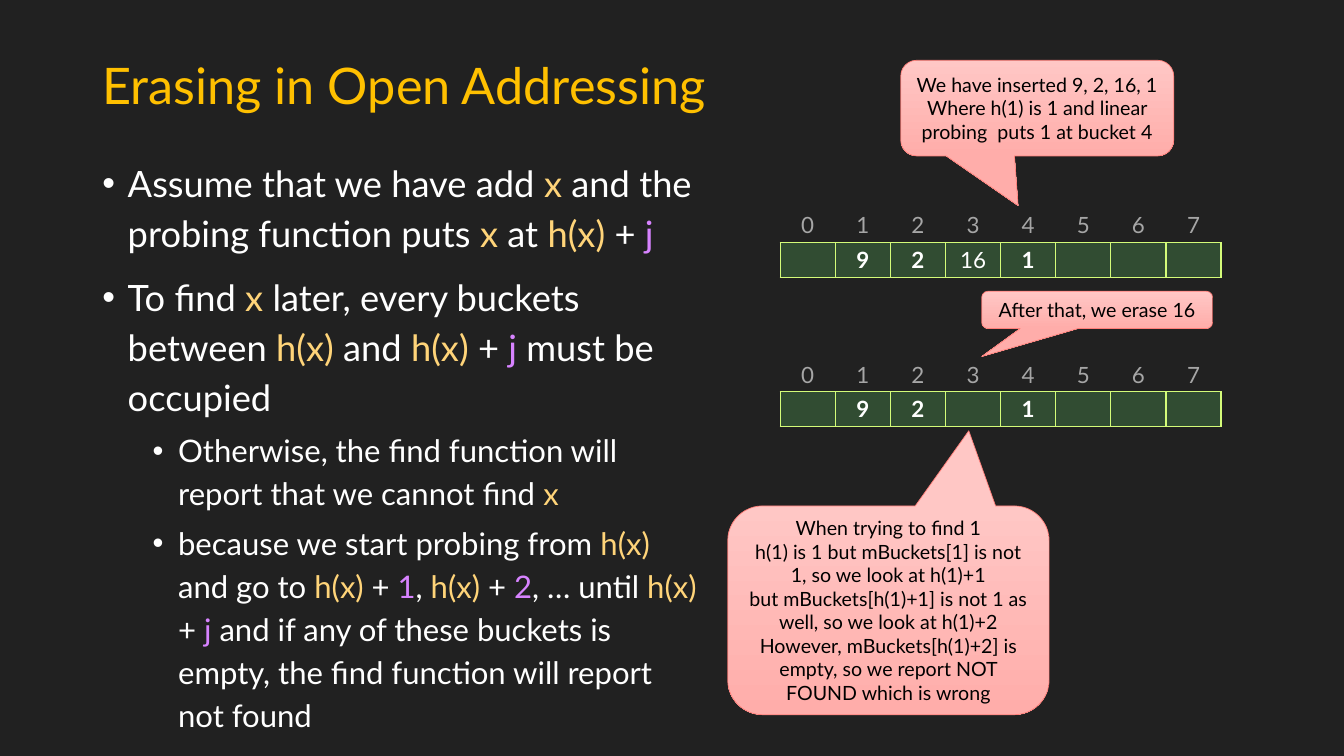
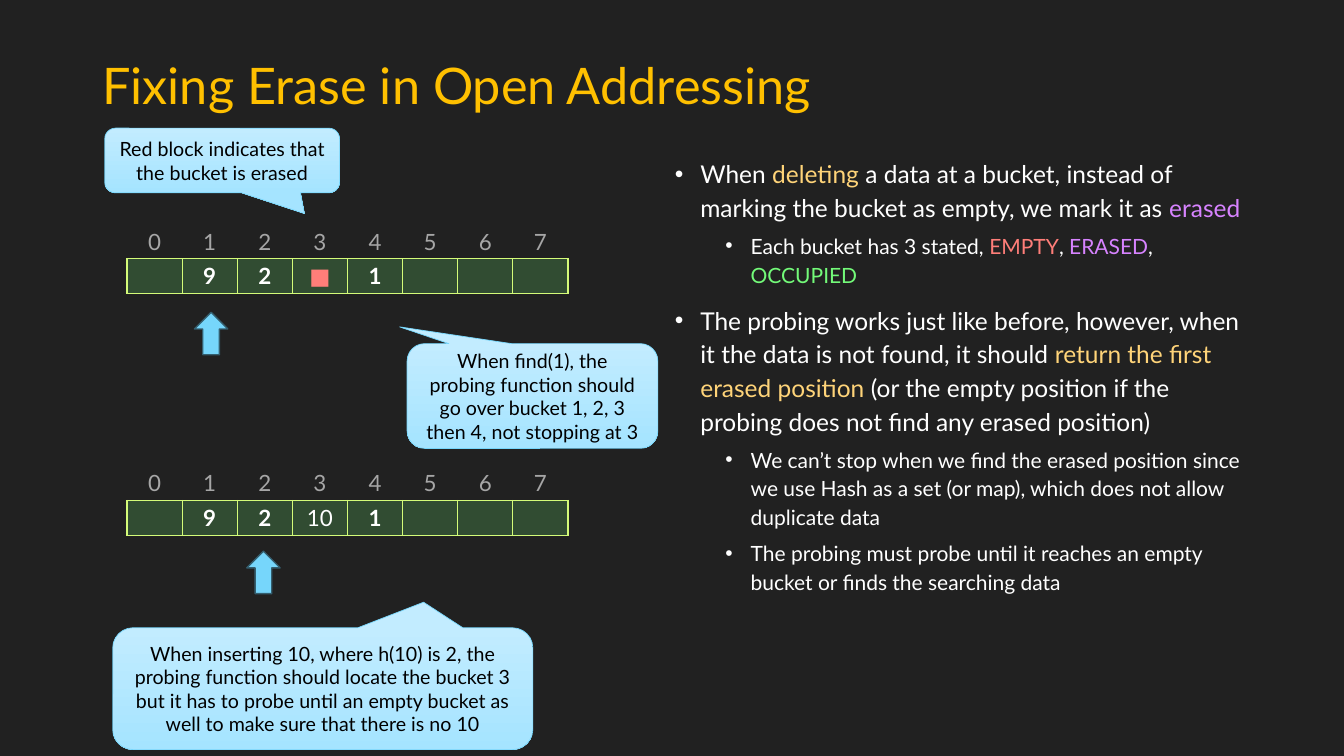
from dataclasses import dataclass

from lxml.etree import SubElement
from pptx import Presentation
from pptx.dml.color import RGBColor
from pptx.enum.shapes import MSO_SHAPE
from pptx.enum.text import MSO_ANCHOR, PP_ALIGN
from pptx.oxml.ns import qn
from pptx.util import Cm, Pt


@dataclass(frozen=True)
class Theme:
    font: str = "Lato"
    # Colours
    back: str = "212121"
    title: str = "FFC000"
    text: str = "FFFFFF"
    dark: str = "000000"
    gray: str = "A6A6A6"
    gold: str = "FFD479"
    violet: str = "D783FF"
    red: str = "FF7E79"
    green: str = "73FA79"
    lime: str = "D4FB79"
    sky: str = "76D6FB"
    navy: str = "345E6E"
    # Callout colours: top, bottom, outline
    pink: tuple = ("FFC7C5", "FFADAA", "FF7E79")
    blue: tuple = ("C2ECFF", "A5E4FF", "76D6FB")
    # Type sizes
    head: float = 36
    cell: float = 16
    note: float = 14
    large: tuple = (25.9, 22.2)
    small: tuple = (17.5, 15)


T = Theme()
PLAIN = "{2D5ABB26-0587-4C30-8999-92F81FD0307C}"  # table style without lines


def rgb(code):
    return RGBColor.from_string(code)


def box(*sides):
    return [Cm(side) for side in sides]


def ink(run, size, color, bold=False):
    font = run.font
    font.name, font.size, font.bold = T.font, Pt(size), bold
    font.color.rgb = rgb(color)


class Deck:
    def __init__(self):
        self.prs = Presentation()
        self.prs.slide_width, self.prs.slide_height = box(33.87, 19.05)
        self.slide = None

    def page(self, title):
        self.slide = self.prs.slides.add_slide(self.prs.slide_layouts[6])
        fill = self.slide.background.fill
        fill.solid()
        fill.fore_color.rgb = rgb(T.back)
        frame = self.frame(2.33, 1.01, 29.21, 2.42)
        frame.vertical_anchor = MSO_ANCHOR.MIDDLE
        frame.text = title
        para = frame.paragraphs[0]
        para.line_spacing = 0.9
        ink(para.runs[0], T.head, T.title)

    def frame(self, *sides):
        frame = self.slide.shapes.add_textbox(*box(*sides)).text_frame
        frame.word_wrap = True
        return frame

    def body(self, left, width, sizes, items):
        """Each item is a level and its parts: plain text or (text, colour)."""
        frame = self.frame(left, 3.78, width, 13.94)
        for i, (level, *parts) in enumerate(items):
            para = frame.add_paragraph() if i else frame.paragraphs[0]
            para.line_spacing = 1.15
            para.space_before = Pt((10, 5)[level])
            props = para._p.get_or_add_pPr()
            props.set("marL", str(Cm(0.64 + 1.27 * level)))
            props.set("indent", str(Cm(-0.64)))
            SubElement(props, qn("a:buFont"), typeface="Arial")
            SubElement(props, qn("a:buChar"), char="•")
            for part in parts:
                words, color = (part, T.text) if isinstance(part, str) else part
                run = para.add_run()
                run.text = words
                ink(run, sizes[level], color)

    def buckets(self, left, top, values, plain=(), marked=()):
        """Row of bucket numbers above a row of bucket values."""
        count, wide, high = len(values), 1.39, 0.88
        place = box(left, top, count * wide, 2 * high)
        table = self.slide.shapes.add_table(2, count, *place).table
        table.first_row = table.horz_banding = False
        table._tbl.tblPr.find(qn("a:tableStyleId")).text = PLAIN
        for row in table.rows:
            row.height = Cm(high)
        for i, value in enumerate(values):
            table.columns[i].width = Cm(wide)
            label, slot = table.cell(0, i), table.cell(1, i)
            self.cell(label, str(i), T.gray)
            label.vertical_anchor = MSO_ANCHOR.BOTTOM
            color = T.red if value in marked else T.text
            self.cell(slot, value, color, value not in plain)
            self.edge(slot)

    def cell(self, cell, value, color, bold=False):
        cell.margin_left = cell.margin_right = Cm(0.1)
        cell.margin_top = cell.margin_bottom = Cm(0.1)
        cell.text_frame.text = value
        para = cell.text_frame.paragraphs[0]
        para.alignment = PP_ALIGN.CENTER
        for run in para.runs:
            ink(run, T.cell, color, bold)
        if not value:  # keeps empty cells as low as the others
            SubElement(para._p, qn("a:endParaRPr"), sz=str(T.cell * 100))

    def edge(self, cell):
        """Green borders and a faint green fill."""
        props = cell._tc.get_or_add_tcPr()
        for side in ("lnL", "lnR", "lnT", "lnB"):
            line = SubElement(props, qn("a:" + side), w=str(Pt(1)))
            paint = SubElement(line, qn("a:solidFill"))
            SubElement(paint, qn("a:srgbClr"), val=T.lime)
        cell.fill.solid()
        cell.fill.fore_color.rgb = rgb(T.green)
        tone = next(props.find(qn("a:solidFill")).iter(qn("a:srgbClr")))
        SubElement(tone, qn("a:alpha"), val="20000")

    def shape(self, kind, sides, line, width):
        shape = self.slide.shapes.add_shape(kind, *box(*sides))
        shape.shadow.inherit = False
        shape.line.color.rgb = rgb(line)
        shape.line.width = Pt(width)
        return shape

    def callout(self, sides, tip, colors, words):
        """Tip is the pointer's end, in shares of the size from the centre."""
        *shades, line = colors
        kind = MSO_SHAPE.ROUNDED_RECTANGULAR_CALLOUT
        shape = self.shape(kind, sides, line, 0.5)
        shape.adjustments[0], shape.adjustments[1] = tip
        shape.fill.gradient()
        shape.fill.gradient_angle = 270
        for stop, shade in zip(shape.fill.gradient_stops, shades):
            stop.color.rgb = rgb(shade)
        frame = shape.text_frame
        frame.word_wrap = True
        frame.vertical_anchor = MSO_ANCHOR.MIDDLE
        frame.text = words
        for para in frame.paragraphs:
            para.alignment = PP_ALIGN.CENTER
            ink(para.runs[0], T.note, T.dark)

    def arrow(self, left, top):
        sides = (left, top, 0.84, 1.07)
        shape = self.shape(MSO_SHAPE.UP_ARROW, sides, T.navy, 1)
        shape.fill.solid()
        shape.fill.fore_color.rgb = rgb(T.sky)


def erasing(deck):
    deck.page("Erasing in Open Addressing")
    x, hx, j = ("x", T.gold), ("h(x)", T.gold), ("j", T.violet)
    deck.body(2.33, 15.52, T.large, [
        (0, "Assume that we have add ", x, " and the probing function puts ", x,
         " at ", hx, " + ", j),
        (0, "To find ", x, " later, every buckets between ", hx, " and ", hx,
         " + ", j, " must be occupied"),
        (1, "Otherwise, the find function will report that we cannot find ", x),
        (1, "because we start probing from ", hx, " and go to ", hx, " + ",
         ("1", T.violet), ", ", hx, " + ", ("2", T.violet), ", … until ", hx,
         " + ", j, " and if any of these buckets is empty, the find function "
         "will report not found"),
    ])
    # Buckets before and after the erase
    deck.buckets(19.66, 5.23, ["", "9", "2", "16", "1", "", "", ""], plain=["16"])
    deck.buckets(19.66, 8.99, ["", "9", "2", "", "1", "", "", ""])
    # Callouts
    deck.callout((22.7, 1.52, 6.88, 2.41), (-0.07, 1.02), T.pink,
                 "We have inserted 9, 2, 16, 1\n"
                 "Where h(1) is 1 and linear probing  puts 1 at bucket 4")
    deck.callout((24.74, 7.34, 5.82, 0.94), (-0.5, 1.25), T.pink,
                 "After that, we erase 16")
    deck.callout((18.34, 12.75, 8.1, 5.26), (0.25, -0.86), T.pink,
                 "When trying to find 1\n"
                 "h(1) is 1 but mBuckets[1] is not 1, so we look at h(1)+1\n"
                 "but mBuckets[h(1)+1] is not 1 as well, so we look at h(1)+2\n"
                 "However, mBuckets[h(1)+2] is empty, so we report NOT FOUND "
                 "which is wrong")


def fixing(deck):
    deck.page("Fixing Erase in Open Addressing")
    deck.body(16.76, 14.78, T.small, [
        (0, "When ", ("deleting", T.gold), " a data at a bucket, instead of "
         "marking the bucket as empty, we mark it as ", ("erased", T.violet)),
        (1, "Each bucket has 3 stated, ", ("EMPTY", T.red), ", ",
         ("ERASED", T.violet), ", ", ("OCCUPIED", T.green)),
        (0, "The probing works just like before, however, when it the data is "
         "not found, it should ", ("return the first erased position ", T.gold),
         "(or the empty position if the probing does not find any erased "
         "position)"),
        (1, "We can’t stop when we find the erased position since we use Hash "
         "as a set (or map), which does not allow duplicate data"),
        (1, "The probing must probe until it reaches an empty bucket or finds "
         "the searching data"),
    ])
    # Buckets with the erased mark, then with the new value
    deck.buckets(3.2, 5.64, ["", "9", "2", "■", "1", "", "", ""], marked=["■"])
    deck.buckets(3.2, 11.73, ["", "9", "2", "10", "1", "", "", ""], plain=["10"])
    deck.arrow(4.9, 7.87)
    deck.arrow(6.22, 13.89)
    # Callouts
    deck.callout((2.64, 3.23, 5.92, 1.63), (0.35, 0.82), T.blue,
                 "Red block indicates that the bucket is erased")
    deck.callout((10.26, 8.66, 6.32, 2.64), (-0.53, -0.66), T.blue,
                 "When find(1), the probing function should go over bucket "
                 "1, 2, 3 then 4, not stopping at 3")
    deck.callout((2.84, 15.82, 10.59, 3.07), (0.24, -0.71), T.blue,
                 "When inserting 10, where h(10) is 2, the probing function "
                 "should locate the bucket 3 but it has to probe until an empty "
                 "bucket as well to make sure that there is no 10")


def main():
    deck = Deck()
    erasing(deck)
    fixing(deck)
    deck.prs.save("out.pptx")


if __name__ == "__main__":
    main()
